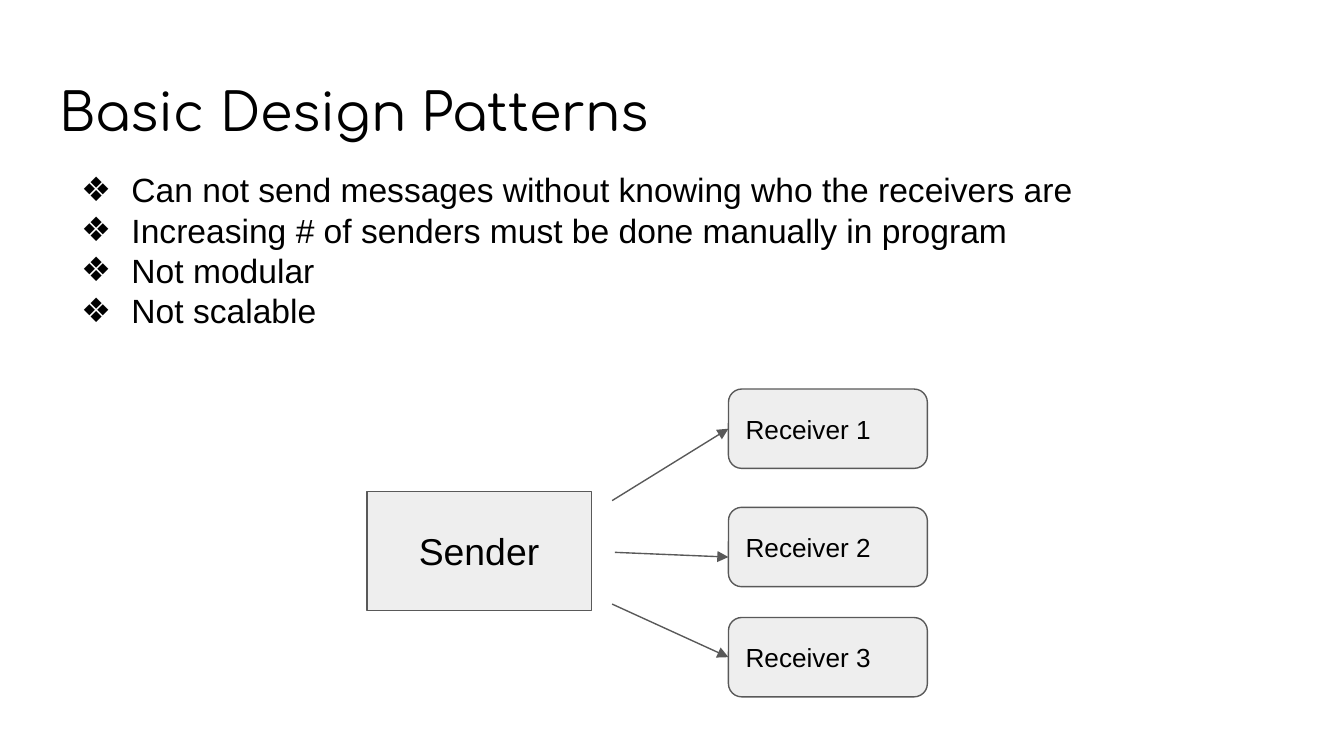
from lxml import etree
from pptx import Presentation
from pptx.dml.color import RGBColor
from pptx.enum.shapes import MSO_CONNECTOR, MSO_SHAPE
from pptx.enum.text import MSO_ANCHOR, MSO_AUTO_SIZE, PP_ALIGN
from pptx.oxml.ns import qn
from pptx.util import Pt

STRAIGHT = MSO_CONNECTOR.STRAIGHT
RECTANGLE, ROUNDED = MSO_SHAPE.RECTANGLE, MSO_SHAPE.ROUNDED_RECTANGLE
TOP, MIDDLE = MSO_ANCHOR.TOP, MSO_ANCHOR.MIDDLE
LEFT, CENTER = PP_ALIGN.LEFT, PP_ALIGN.CENTER
NO_AUTOFIT = MSO_AUTO_SIZE.NONE

PX = 4572
COLORS = {"text": "000000", "fill": "EEEEEE", "line": "595959"}
INSET = 20 * PX


def write_text(shape, lines, font_name, size, anchor=TOP, alignment=LEFT):
    frame = shape.text_frame
    frame.text = "\n".join(lines)
    frame_format = {
        "word_wrap": True, "auto_size": NO_AUTOFIT, "vertical_anchor": anchor,
        "margin_left": INSET, "margin_right": INSET,
        "margin_top": INSET, "margin_bottom": INSET,
    }
    for name, value in frame_format.items():
        setattr(frame, name, value)
    for paragraph in frame.paragraphs:
        paragraph.alignment = alignment
        font = paragraph.runs[0].font
        for name, value in {"name": font_name, "size": Pt(size)}.items():
            setattr(font, name, value)
        font.color.rgb = RGBColor.from_string(COLORS["text"])


def style_line(line):
    line.color.rgb = RGBColor.from_string(COLORS["line"])
    line.width = Pt(0.75)


presentation = Presentation()
presentation.slide_width = 2000 * PX
presentation.slide_height = 1125 * PX
slide = presentation.slides.add_slide(presentation.slide_layouts[5])

title = slide.shapes.title
title_box = {"left": 68, "top": 98, "width": 1864, "height": 126}
for name, value in title_box.items():
    setattr(title, name, value * PX)
write_text(title, ["Basic Design Patterns"], "Comfortaa", 28)

boxes = [("Sender", RECTANGLE, 546, 731, 334, 178, 20, CENTER)]
for number, top in enumerate((579, 755, 919), start=1):
    boxes.append((f"Receiver {number}", ROUNDED, 1084, top, 296, 118, 14, LEFT))

for label, kind, left, top, width, height, size, alignment in boxes:
    box = slide.shapes.add_shape(kind, left * PX, top * PX, width * PX, height * PX)
    box.shadow.inherit = False
    box.fill.solid()
    box.fill.fore_color.rgb = RGBColor.from_string(COLORS["fill"])
    style_line(box.line)
    write_text(box, [label], "Arial", size, MIDDLE, alignment)

arrows = [(911, 745, 638), (915, 822, 829), (911, 899, 978)]
for start_x, start_y, end_y in arrows:
    arrow = slide.shapes.add_connector(
        STRAIGHT, start_x * PX, start_y * PX, 1084 * PX, end_y * PX)
    style_line(arrow.line)
    line_properties = arrow._element.spPr.find(qn("a:ln"))
    etree.SubElement(line_properties, qn("a:tailEnd"), type="triangle")
    etree.SubElement(arrow._element.spPr, qn("a:effectLst"))

drawbacks = [
    "Can not send messages without knowing who the receivers are",
    "Increasing # of senders must be done manually in program",
    "Not modular",
    "Not scalable",
]
drawback_list = slide.shapes.add_textbox(76 * PX, 232 * PX, 1658 * PX, 364 * PX)
write_text(drawback_list, drawbacks, "Arial", 18)
for paragraph in drawback_list.text_frame.paragraphs:
    properties = paragraph._p.get_or_add_pPr()
    for name, value in {"marL": 100, "indent": -75}.items():
        properties.set(name, str(value * PX))
    bullet_color = etree.SubElement(properties, qn("a:buClr"))
    etree.SubElement(bullet_color, qn("a:srgbClr"), val=COLORS["text"])
    etree.SubElement(properties, qn("a:buFont"), typeface="Arial")
    etree.SubElement(properties, qn("a:buChar"), char="❖")

presentation.save("out.pptx")
